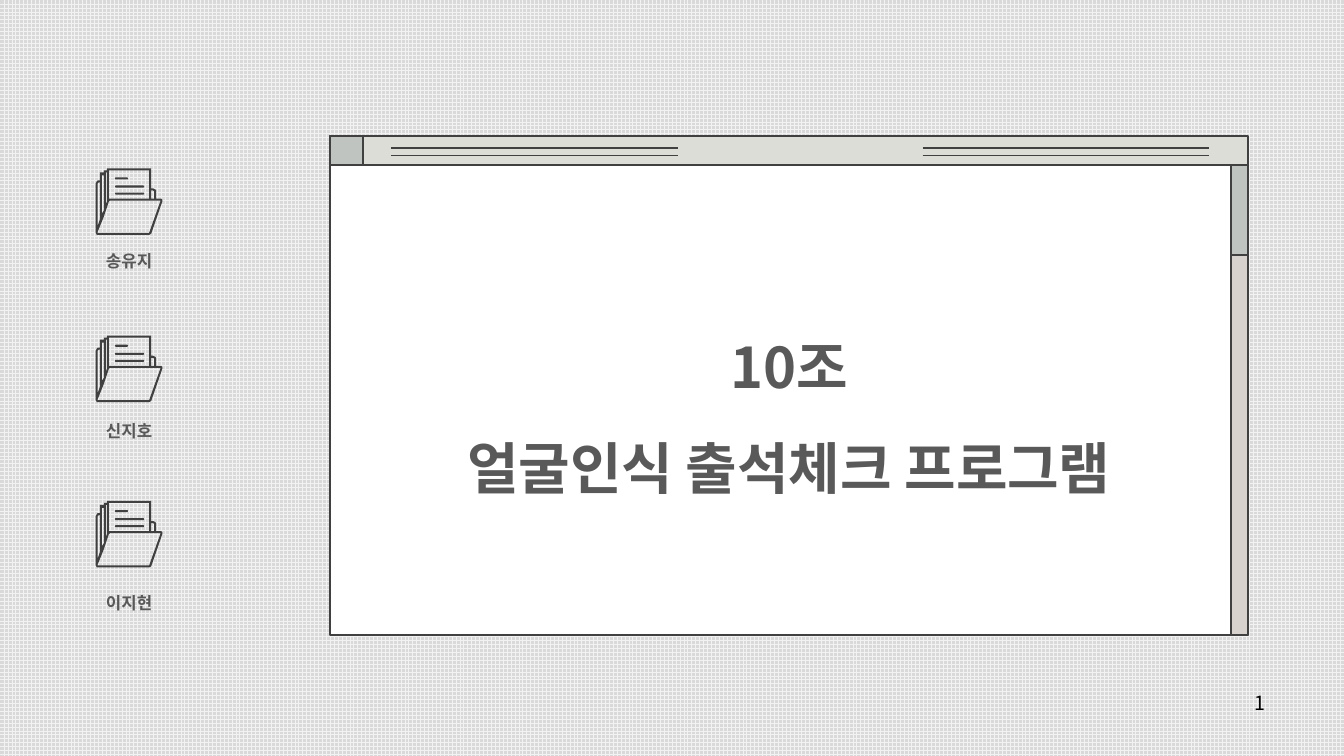
from dataclasses import dataclass

from lxml.etree import SubElement
from pptx import Presentation
from pptx.dml.color import RGBColor
from pptx.enum.dml import MSO_PATTERN
from pptx.enum.shapes import MSO_CONNECTOR, MSO_SHAPE
from pptx.enum.text import MSO_ANCHOR, PP_ALIGN
from pptx.oxml.ns import qn
from pptx.util import Inches, Pt


@dataclass(frozen=True)
class Theme:
    font: str = "Noto Sans CJK KR"
    ink: str = "404040"
    text: str = "595959"
    number: str = "000000"
    paper: str = "FFFFFF"
    title_bar: str = "DDDDD8"
    accent: str = "C0C4C1"
    scroll_track: str = "D7D2CE"
    grid: str = "F2F2F2"
    desktop: str = "D9D9D9"
    title_size: int = 40
    label_size: int = 12
    number_size: int = 14
    border: float = 1.5
    rule: float = 1


THEME = Theme()

FOLDER_OUTLINE = [
    (64, 30), (60, 30), (60, 22), (59, 21), (57, 20), (55, 20), (55, 0),
    (11, 0), (11, 2), (8, 2), (8, 4), (4, 4), (4, 12), (2, 12), (1, 13),
    (0, 15), (0, 64), (1, 66), (3, 66), (52, 66), (53, 66), (55, 65),
    (66, 33), (66, 31), (65, 30),
]
FOLDER_OPENINGS = [
    [(57, 22), (58, 23), (58, 30), (55, 30), (55, 22)],
    [(53, 2), (53, 30), (14, 30), (13, 30), (13, 2)],
    [(11, 4), (11, 33), (10, 36), (10, 4)],
    [(6, 7), (8, 7), (8, 42), (6, 45)],
    [(2, 15), (3, 14), (4, 14), (4, 51), (2, 57)],
    [(53, 64), (52, 64), (3, 64), (2, 64), (2, 63), (4, 58), (8, 48),
     (11, 39), (13, 33), (14, 32), (64, 32), (64, 33)],
]
PAGE_LINES = [(0.09, 0.13), (0.17, 0.29), (0.24, 0.29)]


def rgb(code):
    return RGBColor.from_string(code)


def add_panel(shapes, left, top, width, height, fill, bordered=True, kind=MSO_SHAPE.RECTANGLE):
    panel = shapes.add_shape(kind, Inches(left), Inches(top), Inches(width), Inches(height))
    panel.shadow.inherit = False
    panel.fill.solid()
    panel.fill.fore_color.rgb = rgb(fill)
    if bordered:
        panel.line.color.rgb = rgb(THEME.ink)
        panel.line.width = Pt(THEME.border)
    else:
        panel.line.fill.background()
    return panel


def add_rule(shapes, left, y, width):
    rule = shapes.add_connector(
        MSO_CONNECTOR.STRAIGHT, Inches(left), Inches(y), Inches(left + width), Inches(y))
    rule.line.color.rgb = rgb(THEME.ink)
    rule.line.width = Pt(THEME.rule)
    SubElement(rule._element.spPr, qn("a:effectLst"))


def write(paragraph, words, size, color, align, bold=True, spacing=None):
    paragraph.alignment = align
    paragraph.line_spacing = spacing
    run = paragraph.add_run()
    run.text = words
    run.font.size = Pt(size)
    run.font.bold = bold
    run.font.color.rgb = rgb(color)
    run.font.name = THEME.font
    SubElement(run.font._element, qn("a:ea"), typeface=THEME.font)


def add_words(shapes, left, top, width, height, anchor, words, size, color, align, **style):
    box = shapes.add_textbox(Inches(left), Inches(top), Inches(width), Inches(height))
    box.text_frame.word_wrap = True
    box.text_frame.vertical_anchor = anchor
    write(box.text_frame.paragraphs[0], words, size, color, align, **style)


def add_window(slide, left, top, width, height, title_lines):
    shapes = slide.shapes.add_group_shape().shapes
    bar, scroll = 0.3, 0.17
    body_top, body_height = top + bar - 0.01, height - bar + 0.01
    scroll_left = left + width - scroll
    add_panel(shapes, left, top, width, bar, THEME.title_bar)
    add_panel(shapes, left, top, 0.33, bar, THEME.accent)
    page = add_panel(shapes, left, body_top, width, body_height, THEME.paper)
    frame = page.text_frame
    frame.word_wrap = True
    frame.vertical_anchor = MSO_ANCHOR.MIDDLE
    for index, words in enumerate(title_lines):
        paragraph = frame.add_paragraph() if index else frame.paragraphs[0]
        write(paragraph, words, THEME.title_size, THEME.text, PP_ALIGN.CENTER, spacing=1.5)
    add_panel(shapes, scroll_left, body_top, scroll, body_height, THEME.scroll_track)
    add_panel(shapes, scroll_left, body_top, scroll, 0.89, THEME.accent)
    for rule_left in (left + 0.61, left + 5.88):
        for drop in (0.12, 0.19):
            add_rule(shapes, rule_left, top + drop, 2.84)


def add_folder(slide, left, top):
    shapes = slide.shapes.add_group_shape().shapes
    builder = shapes.build_freeform(*FOLDER_OUTLINE[0], scale=Inches(0.01))
    builder.add_line_segments(FOLDER_OUTLINE[1:], close=True)
    for opening in FOLDER_OPENINGS:
        builder.move_to(*opening[0])
        builder.add_line_segments(opening[1:], close=True)
    folder = builder.convert_to_shape(Inches(left), Inches(top))
    folder.shadow.inherit = False
    folder.fill.solid()
    folder.fill.fore_color.rgb = rgb(THEME.ink)
    folder.line.fill.background()
    for drop, width in PAGE_LINES:
        page_line = add_panel(shapes, left + 0.19, top + drop, width, 0.02, THEME.ink,
                              bordered=False, kind=MSO_SHAPE.ROUNDED_RECTANGLE)
        page_line.adjustments[0] = 0.5


def add_member(slide, left, top, name, label_drop):
    add_folder(slide, left, top)
    add_words(slide.shapes, left - 0.33, top + label_drop, 1.32, 0.36, MSO_ANCHOR.TOP,
              name, THEME.label_size, THEME.text, PP_ALIGN.CENTER, spacing=1.5)


def add_page_number(slide, left, top, width, height, number):
    add_words(slide.shapes, left, top, width, height, MSO_ANCHOR.MIDDLE,
              number, THEME.number_size, THEME.number, PP_ALIGN.RIGHT, bold=False)


def paint_desktop(slide):
    fill = slide.background.fill
    fill.patterned()
    fill.pattern = MSO_PATTERN.LARGE_GRID
    fill.fore_color.rgb = rgb(THEME.grid)
    fill.back_color.rgb = rgb(THEME.desktop)


def main():
    deck = Presentation()
    deck.slide_width, deck.slide_height = Inches(13.33), Inches(7.5)
    slide = deck.slides.add_slide(deck.slide_layouts[6])
    paint_desktop(slide)
    add_window(slide, 3.27, 1.35, 9.11, 4.95, ["10조", "얼굴인식 출석체크 프로그램"])
    for top, name, label_drop in [(1.67, "송유지", 0.67), (3.33, "신지호", 0.69), (4.97, "이지현", 0.76)]:
        add_member(slide, 0.95, top, name, label_drop)
    add_page_number(slide, 9.75, 6.77, 2.9, 0.4, "1")
    deck.save("out.pptx")


if __name__ == "__main__":
    main()
